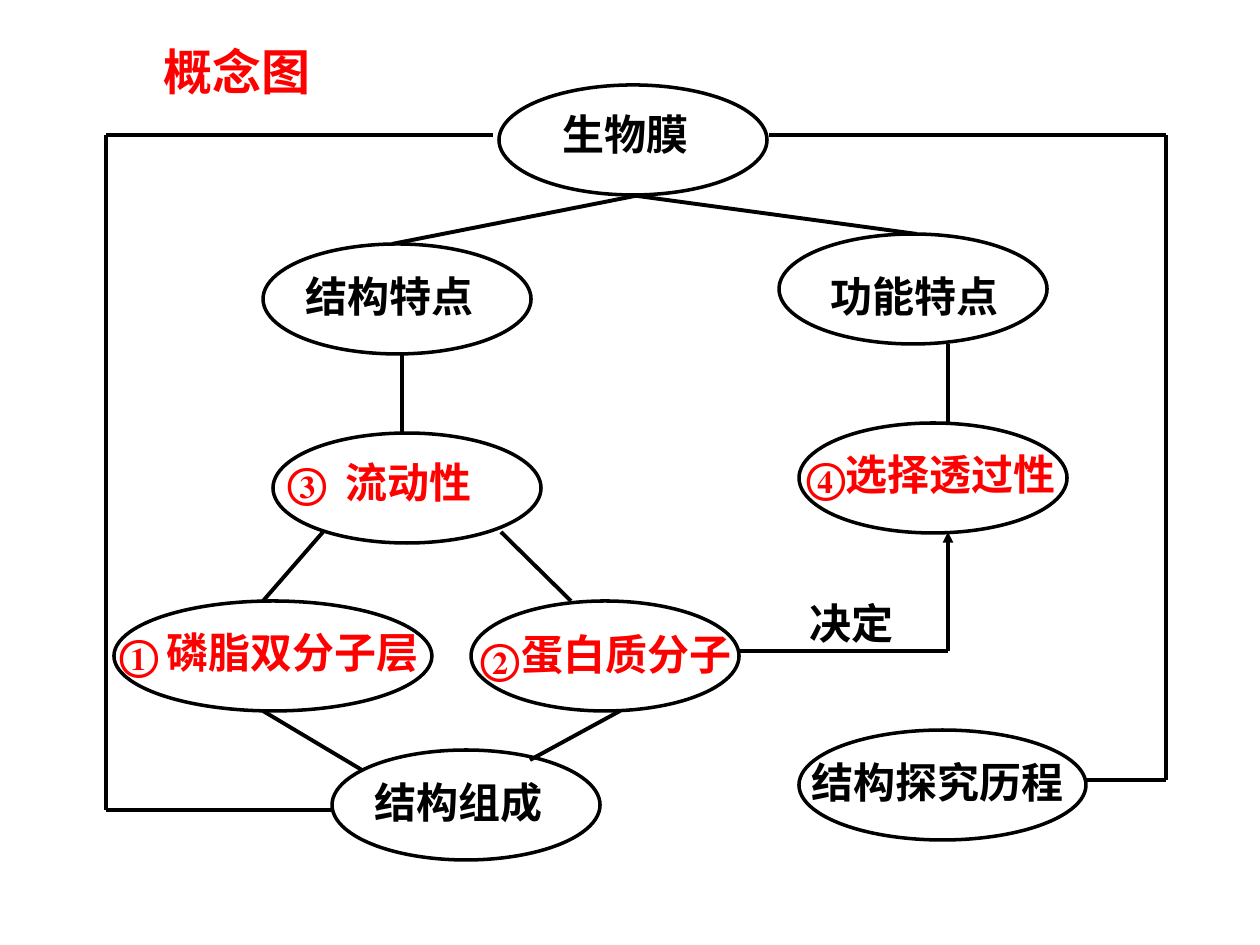
from itertools import pairwise

from lxml import etree
from pptx import Presentation
from pptx.dml.color import RGBColor
from pptx.enum.shapes import MSO_CONNECTOR, MSO_SHAPE
from pptx.enum.text import MSO_AUTO_SIZE, PP_ALIGN
from pptx.oxml.ns import qn
from pptx.util import Emu, Pt

STRAIGHT = MSO_CONNECTOR.STRAIGHT
OVAL = MSO_SHAPE.OVAL
LEFT, CENTER = PP_ALIGN.LEFT, PP_ALIGN.CENTER
FIT_SHAPE = MSO_AUTO_SIZE.SHAPE_TO_FIT_TEXT

EMU_PER_PX = 914400 / 126
COLORS = {"ink": "000000", "answer": "FF0000"}
FONT = "Times New Roman"
NODE_W, NODE_H, LABEL_H = 268, 110, 63

# Ellipse (left, top, width), then labels (text, dx, dy, width, color)
NODES = [
    ((499, 85, NODE_W), [("生物膜", 51, 17, 189, "ink")]),
    ((332, 750, NODE_W), [("结构组成", 30, 20, 238, "ink")]),
    ((779, 234, NODE_W), [("功能特点", 39, 30, 208, "ink")]),
    ((263, 244, NODE_W), [("结构特点", 30, 20, 208, "ink")]),
    ((799, 730, 287), [("结构探究历程", 0, 20, 287, "ink")]),
    ((273, 433, NODE_W), [("③", 2, 17, 79, "answer"),
                          ("流动性", 60, 17, 169, "answer")]),
    ((471, 601, NODE_W), [("②", -3, 25, 64, "answer"),
                          ("蛋白质分子", 38, 21, 258, "answer")]),
    ((114, 601, 318), [("①", -7, 21, 69, "answer"),
                       ("磷脂双分子层", 40, 19, 297, "answer")]),
    ((799, 423, NODE_W), [("④", -5, 22, 64, "answer"),
                          ("选择透过性", 34, 19, 258, "answer")]),
]

# Each route is a chain of straight segments
ROUTES = [
    [(640, 195), (392, 244)],
    [(630, 195), (917, 234)],
    [(402, 354), (402, 433)],
    [(323, 532), (263, 601)],
    [(501, 532), (571, 601)],
    [(263, 711), (362, 770)],
    [(530, 760), (620, 711)],
    [(948, 344), (948, 423)],
    [(740, 651), (948, 651)],
    [(493, 135), (106, 135), (106, 810), (334, 810)],
    [(769, 135), (1166, 135), (1166, 780), (1086, 780)],
]
DECIDES_ARROW = [(948, 651), (948, 532)]


def px(value):
    return Emu(round(value * EMU_PER_PX))


def color(name):
    return RGBColor.from_string(COLORS[name])


def add_text(page, box, text, size=24, ink="ink", align=LEFT):
    frame = page.shapes.add_textbox(*map(px, box)).text_frame
    frame.word_wrap = True
    frame.auto_size = FIT_SHAPE
    para = frame.paragraphs[0]
    para.alignment = align
    span = para.add_run()
    span.text = text
    span.font.name = FONT
    span.font.size = Pt(size)
    span.font.bold = True
    span.font.color.rgb = color(ink)


def add_ellipse(page, box):
    ellipse = page.shapes.add_shape(OVAL, *map(px, box))
    ellipse.shadow.inherit = False
    ellipse.fill.background()
    ellipse.line.color.rgb = color("ink")
    ellipse.line.width = Pt(2)


def add_route(page, points, width=2.25, arrow=False):
    for start, end in pairwise(points):
        segment = page.shapes.add_connector(STRAIGHT, *map(px, start + end))
        segment.line.color.rgb = color("ink")
        segment.line.width = Pt(width)
        properties = segment.element.spPr
        etree.SubElement(properties, qn("a:effectLst"))
        if arrow:
            line = properties.find(qn("a:ln"))
            etree.SubElement(line, qn("a:tailEnd"), type="triangle")


def add_labels(page, box, labels):
    left, top = box[:2]
    for text, dx, dy, width, ink in labels:
        add_text(page, (left + dx, top + dy, width, LABEL_H), text, ink=ink)


def add_concept_map(page):
    # Ellipses
    for (left, top, width), _ in NODES:
        add_ellipse(page, (left, top, width, NODE_H))
    # Links between ellipses
    for points in ROUTES:
        add_route(page, points)
    add_route(page, DECIDES_ARROW, width=2, arrow=True)
    # Labels in ellipses and on the arrow
    for box, labels in NODES:
        add_labels(page, box, labels)
    add_text(page, (797, 591, 139, LABEL_H), "决定")


def main():
    deck = Presentation()
    deck.slide_width, deck.slide_height = px(1260), px(945)
    page = deck.slides.add_slide(deck.slide_layouts[6])
    # Heading
    add_text(page, (146, 35, 182, 72), "概念图", size=28, ink="answer",
             align=CENTER)
    add_concept_map(page)
    deck.save("out.pptx")


if __name__ == "__main__":
    main()
